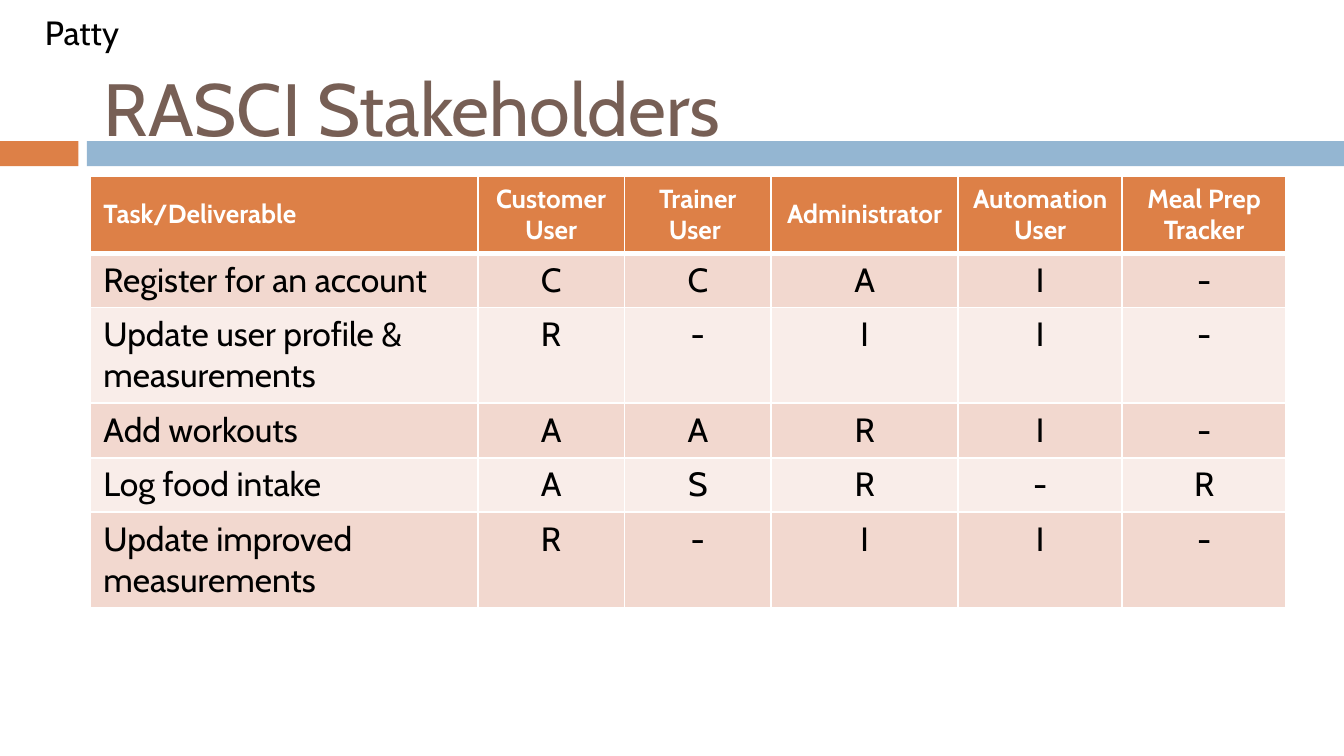
from lxml import etree
from pptx import Presentation
from pptx.dml.color import RGBColor
from pptx.enum.shapes import MSO_SHAPE
from pptx.enum.text import MSO_ANCHOR, MSO_AUTO_SIZE, PP_ALIGN
from pptx.oxml.ns import qn
from pptx.util import Emu, Inches, Pt

RECTANGLE = MSO_SHAPE.RECTANGLE
TOP, MIDDLE = MSO_ANCHOR.TOP, MSO_ANCHOR.MIDDLE
LEFT, CENTER = PP_ALIGN.LEFT, PP_ALIGN.CENTER
NO_FIT = MSO_AUTO_SIZE.NONE

UNIT = Inches(0.1)  # one grid column or row
COLUMNS, ROWS = 100, 56.25

HEADER = ["Task/Deliverable", "Customer User", "Trainer User ",
          "Administrator", "Automation User", "Meal Prep Tracker"]
TASKS = [
    ("Register for an account", "CCAI-"),
    ("Update user profile & measurements", "R-II-"),
    ("Add workouts", "AARI-"),
    ("Log food intake", "ASR-R"),
    ("Update improved measurements", "R-II-"),
]
COLUMN_WIDTHS = [28.85, 10.92, 10.92, 13.92, 12.2, 12.2]
ROW_HEIGHT = 4.06


def color(hex_text):
    return RGBColor.from_string(hex_text)


def grid(*cells):
    """Turn grid columns or rows into lengths."""
    return [Emu(round(cell * UNIT)) for cell in cells]


def write(frame, text, size=18, ink="000000", bold=False, align=LEFT, font="Cabin"):
    para = frame.paragraphs[0]
    para.alignment = align
    span = para.add_run()
    span.text = text
    span.font.name = font
    span.font.size = Pt(size)
    span.font.bold = bold
    span.font.color.rgb = color(ink)


def add_border(cell, side, width, ink):
    """Draw one edge of a cell; side is L, R, T or B."""
    line = etree.Element(qn(f"a:ln{side}"), w=str(Pt(width)))
    fill = etree.SubElement(line, qn("a:solidFill"))
    etree.SubElement(fill, qn("a:srgbClr"), val=ink)
    cell._tc.get_or_add_tcPr().append(line)


class SlideBuilder:
    ORANGE, BLUE, BROWN, WHITE = "DD8047", "94B6D2", "775F55", "FFFFFF"
    BANDS = ["F2D8CF", "F9EDE9"]

    def __init__(self, deck):
        self.slide = deck.slides.add_slide(deck.slide_layouts[5])
        background = self.slide.background.fill
        background.solid()
        background.fore_color.rgb = color(self.WHITE)

    def bar(self, left, top, width, height, fill):
        bar = self.slide.shapes.add_shape(RECTANGLE, *grid(left, top, width, height))
        bar.shadow.inherit = False
        bar.fill.solid()
        bar.fill.fore_color.rgb = color(fill)
        bar.line.fill.background()

    def title(self, text, left, top, width, height):
        title = self.slide.shapes.title
        title.left, title.top, title.width, title.height = grid(left, top, width, height)
        frame = title.text_frame
        frame.auto_size = NO_FIT
        frame.vertical_anchor = MIDDLE
        write(frame, text, size=39.6, ink=self.BROWN)

    def label(self, text, left, top, width, height):
        box = self.slide.shapes.add_textbox(*grid(left, top, width, height))
        box.text_frame.word_wrap = True
        write(box.text_frame, text)

    def cell(self, cell, text, fill, align, is_header, below_header):
        for side in "LRTB":
            heavy = (is_header and side == "B") or (below_header and side == "T")
            add_border(cell, side, 3 if heavy else 1, self.WHITE)
        cell.fill.solid()
        cell.fill.fore_color.rgb = color(fill)
        cell.vertical_anchor = MIDDLE if is_header else TOP
        if is_header:
            write(cell.text_frame, text, size=14, ink=self.WHITE, bold=True, align=align)
        else:
            write(cell.text_frame, text, align=align)

    def table(self, rows, left, top, widths, row_height):
        table = self.slide.shapes.add_table(
            len(rows), len(widths),
            *grid(left, top, sum(widths), row_height * len(rows))).table
        for column, width in zip(table.columns, grid(*widths)):
            column.width = width
        for row_index, row in enumerate(rows):
            fill = self.BANDS[(row_index - 1) % 2] if row_index else self.ORANGE
            for column_index, text in enumerate(row):
                self.cell(table.cell(row_index, column_index), text, fill,
                          CENTER if column_index else LEFT,
                          row_index == 0, row_index == 1)


def main():
    deck = Presentation()
    deck.slide_width, deck.slide_height = grid(COLUMNS, ROWS)
    page = SlideBuilder(deck)
    page.bar(6.46, 10.5, COLUMNS - 6.46, 1.87, page.BLUE)
    page.bar(0, 10.5, 5.83, 1.87, page.ORANGE)
    page.title("RASCI Stakeholders", 6.7, 3.9, 89.2, 8.1)
    rows = [HEADER] + [[task, *roles] for task, roles in TASKS]
    page.table(rows, 6.7, 13.1, COLUMN_WIDTHS, ROW_HEIGHT)
    page.label("Patty", 2.36, 0.4, 8.1, 4)
    deck.save("out.pptx")


if __name__ == "__main__":
    main()
